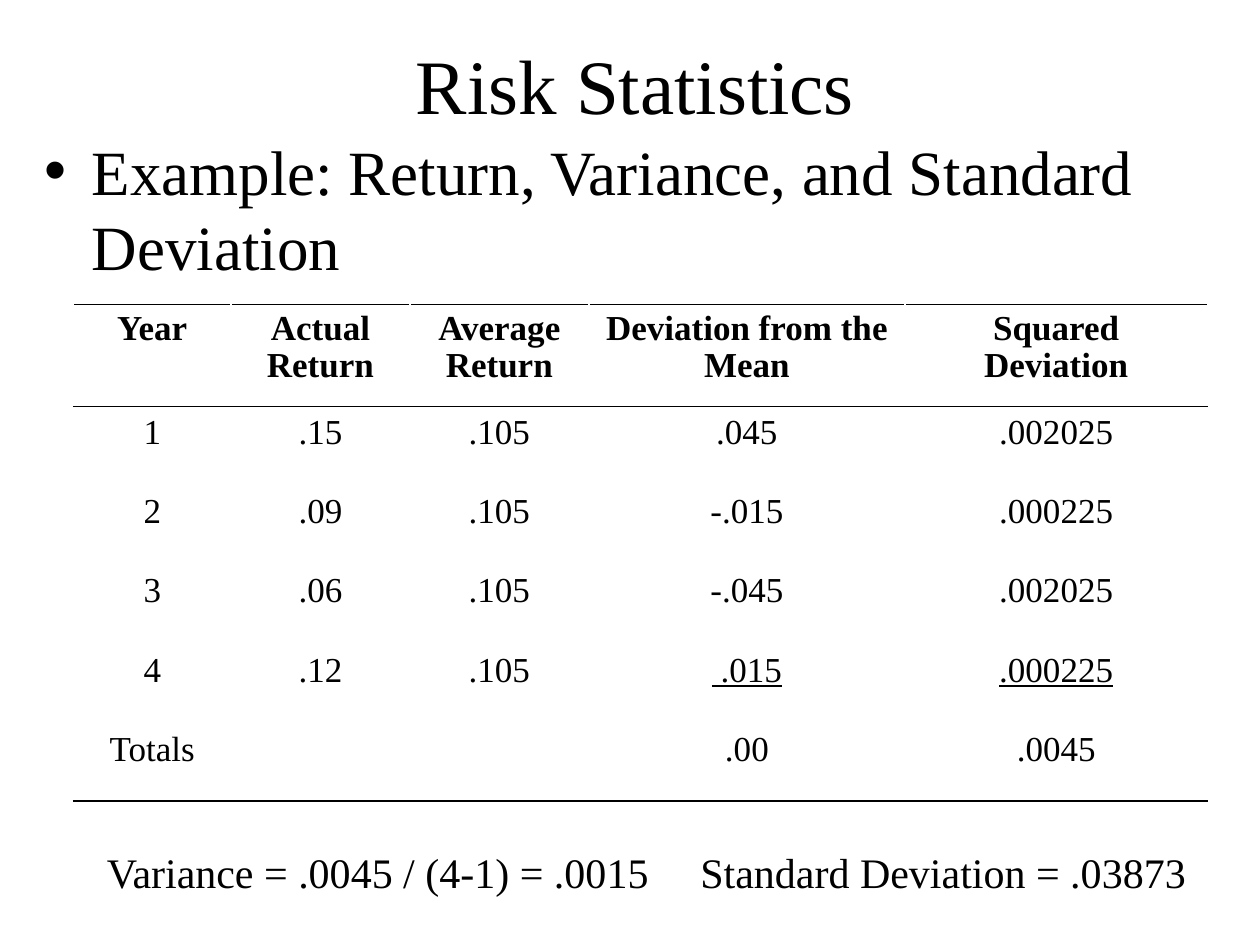
from lxml.etree import SubElement
from pptx import Presentation
from pptx.dml.color import RGBColor
from pptx.enum.text import MSO_ANCHOR as Anchor, MSO_AUTO_SIZE as AutoSize, PP_ALIGN as Align
from pptx.oxml.ns import qn
from pptx.util import Inches, Pt

INK = RGBColor(0x00, 0x00, 0x00)
FACE = "Times New Roman"
WIDTH, HEIGHT = 10, 7.5
GRID_COLUMNS, GRID_ROWS = 120, 90
HEADINGS = ["Year", "Actual Return", "Average Return", "Deviation from the Mean", "Squared Deviation"]
RETURNS = [
    ["1", ".15", ".105", ".045", ".002025"],
    ["2", ".09", ".105", "-.015", ".000225"],
    ["3", ".06", ".105", "-.045", ".002025"],
    ["4", ".12", ".105", " .015", ".000225"],
    ["Totals", "", "", ".00", ".0045"],
]
COLUMN_WIDTHS = [1.25, 1.42, 1.42, 2.51, 2.4]
ROW_HEIGHTS = [0.81] + [0.63] * 4 + [0.61]
THICK, THIN = 1.08, 0.45


class StatisticsSlide:
    """Holds the text style and the current slide, and adds each kind of element."""

    def __init__(self, deck):
        self.slide = deck.slides.add_slide(deck.slide_layouts[1])
        self.style = {"name": FACE, "bold": False, "underline": False}

    def box(self, column, row, columns, rows):
        across, down = WIDTH / GRID_COLUMNS, HEIGHT / GRID_ROWS
        return [Inches(n * step) for n, step in zip((column, row, columns, rows), (across, down) * 2)]

    def add_words(self, paragraph, words, size, align=Align.LEFT, **format_values):
        paragraph.alignment = align
        paragraph.space_before = Pt(0)
        run = paragraph.add_run()
        run.text = words
        for name, value in {**self.style, "size": Pt(size), **format_values}.items():
            setattr(run.font, name, value)
        run.font.color.rgb = INK

    def place(self, holder, area, anchor):
        for name, value in zip(("left", "top", "width", "height"), self.box(*area)):
            setattr(holder, name, value)
        frame = holder.text_frame
        for name, value in {"auto_size": AutoSize.NONE, "vertical_anchor": anchor, "word_wrap": True}.items():
            setattr(frame, name, value)
        return frame.paragraphs[0]

    def title(self, words, area):
        heading = self.place(self.slide.shapes.title, area, Anchor.MIDDLE)
        self.add_words(heading, words, 44, Align.CENTER)

    def bullet(self, words, area):
        example = self.place(self.slide.placeholders[1], area, Anchor.TOP)
        self.add_words(example, words, 36)
        properties = example._p.get_or_add_pPr()
        properties.set("marL", str(Inches(0.38)))
        properties.set("indent", str(-Inches(0.38)))
        bullet_color = SubElement(properties, qn("a:buClr"))
        SubElement(bullet_color, qn("a:srgbClr"), val=str(INK))
        SubElement(properties, qn("a:buChar"), char="•")

    def rule(self, cell, edge, weight):
        properties = cell._tc.get_or_add_tcPr()
        line = properties.makeelement(qn(f"a:{edge}"), {"w": str(Pt(weight))})
        SubElement(SubElement(line, qn("a:solidFill")), qn("a:srgbClr"), val=str(INK))
        properties.insert(len(properties.findall(qn("a:lnT"))), line)

    def table(self, rows, area):
        frame = self.slide.shapes.add_table(len(rows), len(rows[0]), *self.box(*area))
        table = frame.table
        table.first_row = table.horz_banding = False
        for column, width in zip(table.columns, COLUMN_WIDTHS):
            column.width = Inches(width)
        last = len(rows) - 1
        rules = {0: {"lnT": THICK, "lnB": THIN}, 1: {"lnT": THIN}, last: {"lnB": THICK}}
        for r, (row, values) in enumerate(zip(table.rows, rows)):
            row.height = Inches(ROW_HEIGHTS[r])
            for c, (cell, value) in enumerate(zip(row.cells, values)):
                cell.fill.background()
                for edge, weight in rules.get(r, {}).items():
                    self.rule(cell, edge, weight)
                if value:
                    summed = r == last - 1 and c >= 3
                    entry = cell.text_frame.paragraphs[0]
                    self.add_words(entry, value, 20, Align.CENTER, bold=r == 0, underline=summed)
                    if r == 0:
                        entry.line_spacing = 0.95

    def results(self, words, area, tab):
        note = self.slide.shapes.add_textbox(*self.box(*area))
        result = self.place(note, area, Anchor.TOP)
        self.add_words(result, words, 24)
        tabs = SubElement(result._p.get_or_add_pPr(), qn("a:tabLst"))
        SubElement(tabs, qn("a:tab"), pos=str(Inches(tab)), algn="l")


def main():
    deck = Presentation()
    deck.slide_width, deck.slide_height = Inches(WIDTH), Inches(HEIGHT)
    risk = StatisticsSlide(deck)
    risk.title("Risk Statistics", (4, 2, 113, 12))
    risk.bullet("Example: Return, Variance, and Standard Deviation", (3, 12, 114, 71))
    risk.table([HEADINGS] + RETURNS, (7, 29, 108, 47.4))
    risk.results("Variance = .0045 / (4-1) = .0015\tStandard Deviation = .03873", (9, 80, 107, 6), 4.71)
    deck.save("out.pptx")


if __name__ == "__main__":
    main()
